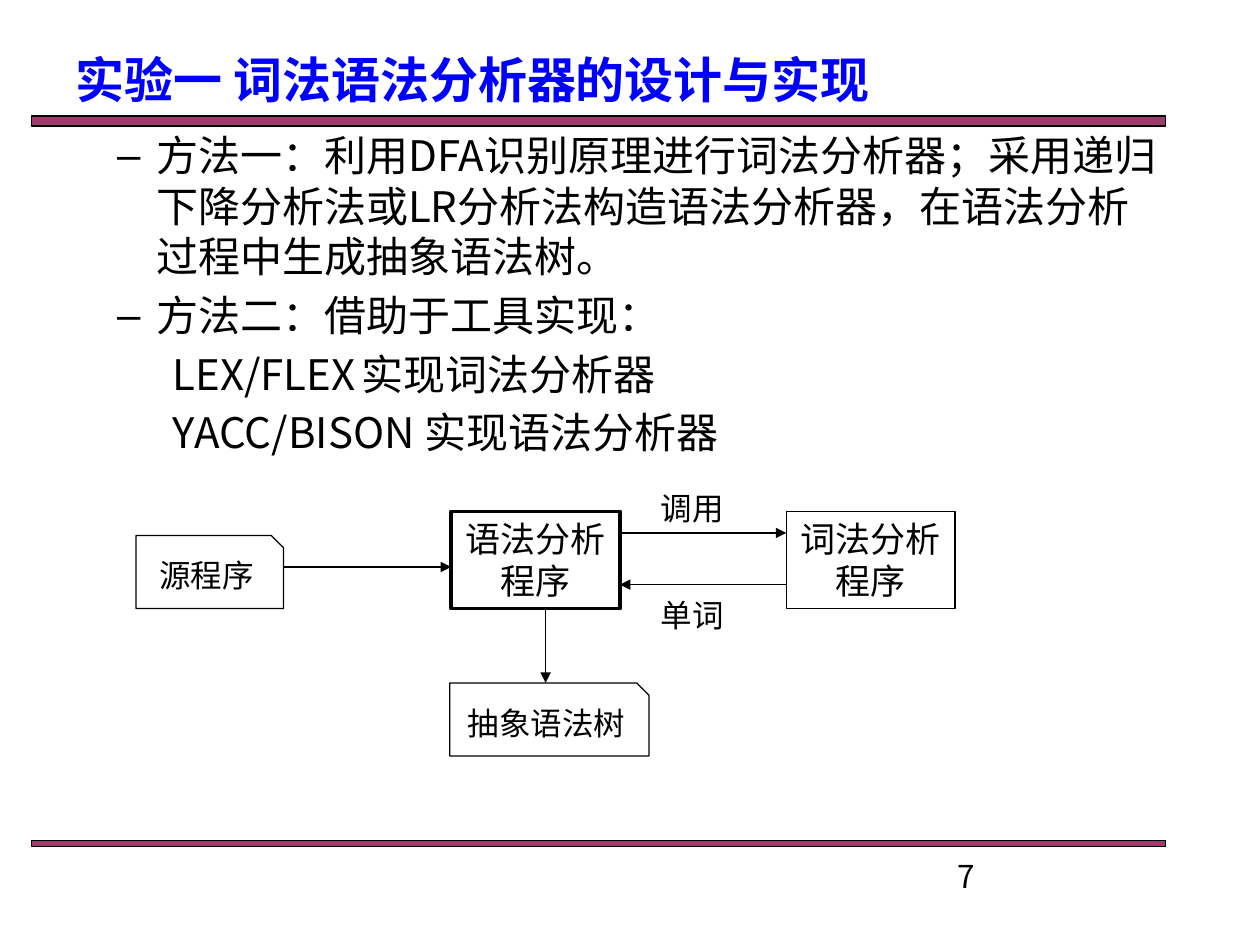
from lxml.etree import SubElement
from pptx import Presentation
from pptx.dml.color import RGBColor
from pptx.enum.shapes import MSO_CONNECTOR, MSO_SHAPE
from pptx.enum.text import MSO_ANCHOR, MSO_AUTO_SIZE, PP_ALIGN
from pptx.oxml.ns import qn
from pptx.util import Inches, Pt

COLORS = {"ink": "000000", "title": "0000FF", "rule": "993366", "paper": "FFFFFF"}
CJK = "Noto Sans CJK SC"

METHODS = [
    "方法一：利用DFA识别原理进行词法分析器；采用递归下降分析法或LR分析法构造语法分析器，在语法分析过程中生成抽象语法树。",
    "方法二：借助于工具实现：",
]
TOOLS = [("LEX/FLEX", "实现词法分析器", 2.86), ("YACC/BISON", "实现语法分析器", 3.18)]


def rgb(key):
    return RGBColor.from_string(COLORS[key])


def style(paragraph, size, color="ink", bold=False, align=PP_ALIGN.LEFT, face=CJK):
    font = paragraph.font
    font.name, font.size, font.bold = face, Pt(size), bold
    font.color.rgb = rgb(color)
    SubElement(font._element, qn("a:ea"), typeface=CJK)
    paragraph.alignment = align


def place(item, left, top, width, height):
    item.left, item.top = Inches(left), Inches(top)
    item.width, item.height = Inches(width), Inches(height)


def add_label(slide, text, left, top, width, height, align=PP_ALIGN.LEFT, face=CJK):
    label = slide.shapes.add_textbox(
        Inches(left), Inches(top), Inches(width), Inches(height))
    label.text_frame.word_wrap = True
    label.text_frame.text = text
    style(label.text_frame.paragraphs[0], 18, align=align, face=face)


def add_block(slide, kind, left, top, width, height, fill="paper", weight=0.75):
    block = slide.shapes.add_shape(
        kind, Inches(left), Inches(top), Inches(width), Inches(height))
    block.shadow.inherit = False
    block.fill.solid()
    block.fill.fore_color.rgb = rgb(fill)
    block.line.color.rgb = rgb("ink")
    block.line.width = Pt(weight)
    return block


def add_rule(slide, left, top, width, height):
    rule = add_block(slide, MSO_SHAPE.RECTANGLE, left, top, width, height, "rule")
    tint = rule._element.spPr.find(qn("a:solidFill"))[0]
    SubElement(tint, qn("a:alpha"), val="96000")


def add_program(slide, text, left, top, weight):
    program = add_block(slide, MSO_SHAPE.RECTANGLE, left, top, 1.34, 0.77, weight=weight)
    frame = program.text_frame
    frame.text = text
    frame.word_wrap = True
    frame.vertical_anchor = MSO_ANCHOR.TOP
    style(frame.paragraphs[0], 20, align=PP_ALIGN.CENTER)


def add_document(slide, text, left, top, width):
    document = add_block(
        slide, MSO_SHAPE.SNIP_1_RECTANGLE, left, top, width, 0.58)
    frame = document.text_frame
    frame.text = text
    frame.word_wrap = False
    frame.vertical_anchor = MSO_ANCHOR.MIDDLE
    style(frame.paragraphs[0], 18, align=PP_ALIGN.CENTER)


def add_arrow(slide, x1, y1, x2, y2):
    arrow = slide.shapes.add_connector(
        MSO_CONNECTOR.STRAIGHT, Inches(x1), Inches(y1), Inches(x2), Inches(y2))
    arrow.line.color.rgb = rgb("ink")
    arrow.line.width = Pt(0.75)
    SubElement(arrow.line._get_or_add_ln(), qn("a:tailEnd"), type="triangle")
    SubElement(arrow._element.spPr, qn("a:effectLst"))


def fill_title(slide, left, top, width, height):
    title = slide.shapes.title
    place(title, left, top, width, height)
    frame = title.text_frame
    frame.text = "实验一 词法语法分析器的设计与实现"
    frame.auto_size = MSO_AUTO_SIZE.NONE
    frame.vertical_anchor = MSO_ANCHOR.MIDDLE
    style(frame.paragraphs[0], 28, "title", bold=True)


def fill_body(slide, left, top, width, height):
    body = slide.placeholders[1]
    place(body, left, top, width, height)
    frame = body.text_frame
    frame.text = "\n".join(METHODS + [f"{tool}\t{use}" for tool, use, _ in TOOLS])
    frame.auto_size = MSO_AUTO_SIZE.NONE
    for paragraph in frame.paragraphs:
        paragraph.level = 1
        paragraph.space_before = Pt(4.8)
        style(paragraph, 24)
    for paragraph in frame.paragraphs[:len(METHODS)]:
        set_indent(paragraph, 0.81, -0.31)
        SubElement(paragraph._p.pPr, qn("a:buChar"), char="–")
    for paragraph, (_, _, stop) in zip(frame.paragraphs[len(METHODS):], TOOLS):
        set_indent(paragraph, 0.94, 0)
        properties = paragraph._p.pPr
        SubElement(properties, qn("a:buNone"))
        tabs = SubElement(properties, qn("a:tabLst"))
        SubElement(tabs, qn("a:tab"), pos=str(Inches(stop)), algn="l")
    for paragraph in frame.paragraphs:
        properties = paragraph._p.pPr
        properties.append(properties.find(qn("a:defRPr")))


def set_indent(paragraph, margin, indent):
    paragraph._p.pPr.set("marL", str(Inches(margin)))
    paragraph._p.pPr.set("indent", str(Inches(indent)))


def draw_flow(slide, left, top):
    parser, lexer = left + 2.5, left + 5.16
    bottom = top + 0.77
    add_program(slide, "语法分析程序", parser, top, 2.25)
    add_program(slide, "词法分析程序", lexer, top, 0.75)
    add_document(slide, "源程序", left, bottom - 0.58, 1.17)
    add_document(slide, "抽象语法树", parser - 0.01, bottom + 0.59, 1.58)
    add_arrow(slide, left + 1.17, top + 0.44, parser, top + 0.44)
    add_arrow(slide, parser + 1.34, top + 0.17, lexer, top + 0.17)
    add_arrow(slide, lexer, top + 0.58, parser + 1.34, top + 0.58)
    add_arrow(slide, parser + 0.75, bottom, parser + 0.75, bottom + 0.59)
    for text, offset in (("调用", -0.23), ("单词", 0.62)):
        add_label(slide, text, left + 4, top + offset, 0.83, 0.4,
                  PP_ALIGN.CENTER, "Arial")


def main():
    deck = Presentation()
    deck.slide_width, deck.slide_height = Inches(10), Inches(7.5)
    slide = deck.slides.add_slide(deck.slide_layouts[1])
    add_rule(slide, 0.25, 0.92, 9, 0.08)
    add_rule(slide, 0.25, 6.67, 9, 0.05)
    fill_title(slide, 0.5, 0.16, 7.34, 0.93)
    fill_body(slide, 0.33, 0.98, 9, 5.6)
    draw_flow(slide, 1.08, 4.06)
    add_label(slide, "7", 7.5, 6.75, 2.33, 0.27)
    deck.save("out.pptx")


if __name__ == "__main__":
    main()
